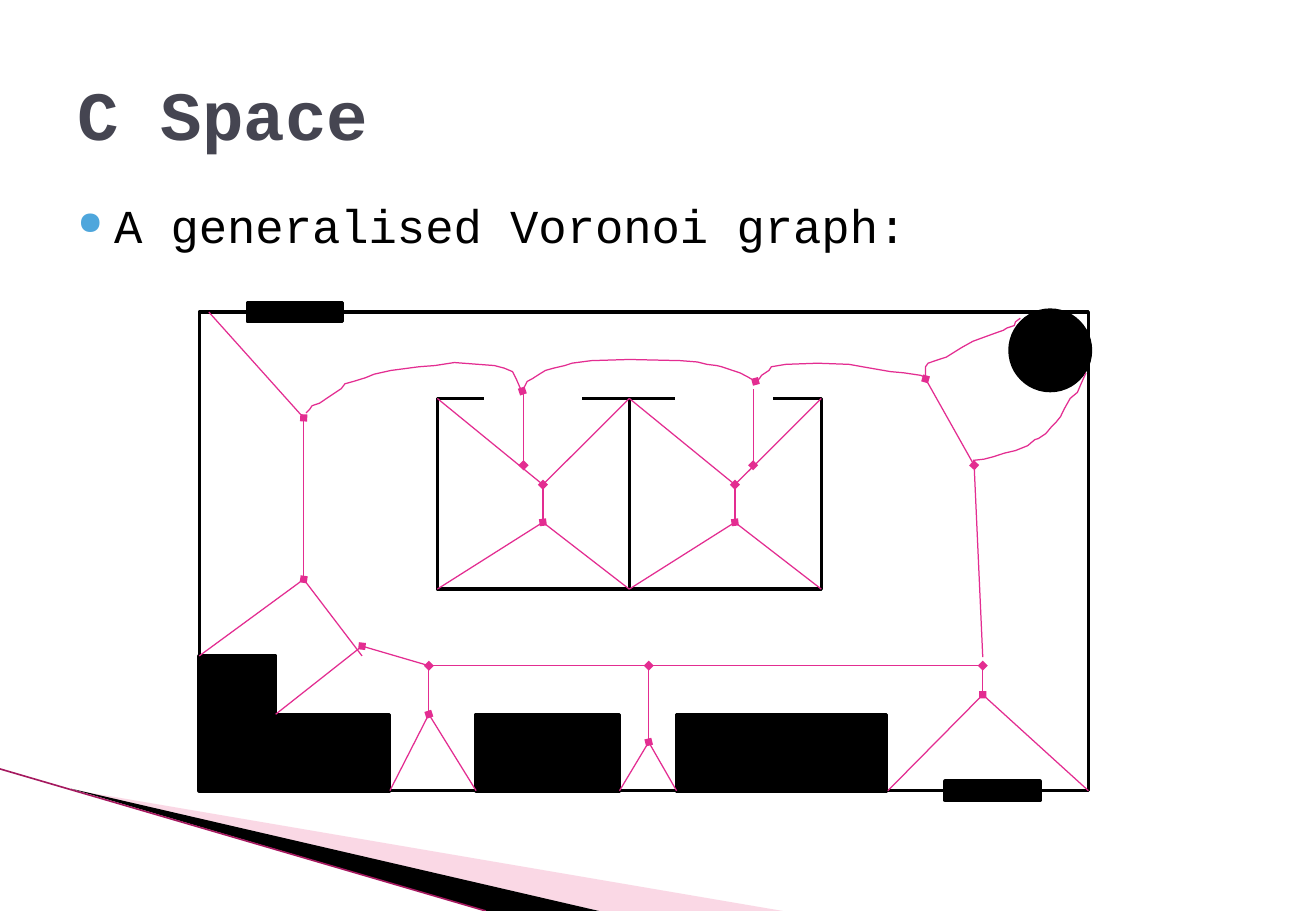
from typing import NamedTuple, Optional

from lxml.etree import SubElement
from pptx import Presentation
from pptx.dml.color import RGBColor
from pptx.enum.shapes import MSO_CONNECTOR, MSO_SHAPE
from pptx.enum.text import MSO_ANCHOR
from pptx.oxml.ns import qn
from pptx.slide import Slide
from pptx.text.text import _Paragraph as Paragraph
from pptx.util import Pt

BLACK = RGBColor(0x00, 0x00, 0x00)
WHITE = RGBColor(0xFF, 0xFF, 0xFF)
MAGENTA = RGBColor(0xE3, 0x2D, 0x91)
DARK_MAGENTA = RGBColor(0xA5, 0x19, 0x5F)
PALE_PINK = RGBColor(0xF3, 0x9E, 0xC0)
SLATE = RGBColor(0x45, 0x45, 0x51)
BULLET_BLUE = "4EA6DC"

Point = tuple[float, float]


class Block(NamedTuple):
    left: float
    top: float
    width: float
    height: float
    fill: Optional[RGBColor] = BLACK
    line: RGBColor = BLACK
    line_width: float = 2
    kind: MSO_SHAPE = MSO_SHAPE.RECTANGLE


class Edge(NamedTuple):
    start: Point
    end: Point
    marked: bool = False


class Curve(NamedTuple):
    points: list[Point]
    marked: bool = False


ROOM_TOP, ROOM_WIDTH, ROOM_HEIGHT = 236.2, 113.8, 113
ROOM_LEFTS = [259.2, 259.2 + ROOM_WIDTH]
FLOOR = 468.7

BLOCKS = [
    Block(118.1, 185, 527, 283.7, fill=None),
    Block(146.9, 179.3, 56.2, 11.5),
    Block(118.1, 388.8, 45.4, 79.2),
    Block(118.1, 423.4, 113, 45.4),
    Block(282.2, 423.4, 85, 45.4),
    Block(401, 423.4, 124.6, 45.4),
    Block(560.2, 463, 56.2, 11.5),
    Block(599.8, 185, 45.4, 45.4, line_width=4.33, kind=MSO_SHAPE.OVAL),
    *[Block(left, ROOM_TOP, ROOM_WIDTH, ROOM_HEIGHT, fill=None) for left in ROOM_LEFTS],
    *[Block(left, 230.4, 56.2, 11.5, WHITE, WHITE) for left in (288, 401)],
]

NORTH_WEST, WEST = (180, 247.7), (180, 343.4)
SOUTH_WEST = (214.6, 383)
AISLE_LEFT, AISLE_MIDDLE, AISLE_RIGHT = (254.2, 394.6), (384.5, 394.6), (582.5, 394.6)
GAP_LEFT, GAP_MIDDLE, GAP_RIGHT = (254.2, 423.4), (384.5, 439.9), (582.5, 411.8)
NORTH_EAST, EAST = (548.6, 224.6), (577.4, 275.8)

EDGES = [
    Edge(NORTH_WEST, (123.8, 185), True),
    Edge(WEST, (118.1, 388.8), True),
    Edge(SOUTH_WEST, (163.4, 423.4), True),
    Edge(GAP_LEFT, (231.1, FLOOR), True),
    Edge(AISLE_LEFT, GAP_LEFT, True),
    Edge(GAP_MIDDLE, (367.2, FLOOR), True),
    Edge(AISLE_MIDDLE, GAP_MIDDLE, True),
    Edge(GAP_RIGHT, (526.3, FLOOR), True),
    Edge(AISLE_RIGHT, GAP_RIGHT, True),
    Edge(EAST, (582.5, 389.5), True),
    Edge(NORTH_EAST, EAST, True),
    Edge((310.3, 275.8), (310.3, 230.4), True),
    Edge((446.4, 275.8), (446.4, 230.4), True),
    Edge(NORTH_WEST, WEST),
    Edge((214.6, 388.8), WEST),
    Edge(SOUTH_WEST, AISLE_LEFT),
    Edge(GAP_LEFT, (282.2, FLOOR)),
    Edge(AISLE_LEFT, AISLE_MIDDLE),
    Edge(AISLE_MIDDLE, AISLE_RIGHT),
    Edge(GAP_MIDDLE, (401, FLOOR)),
    Edge(GAP_RIGHT, (645.1, FLOOR)),
]

CURVES = [
    Curve([(181.4, 244.8), (183.6, 242.6), (185, 240.5), (189.4, 239), (195.8, 234.7),
           (202.3, 230.4), (204.5, 227.5), (209.5, 226.1), (216.7, 223.9), (221.8, 221.8),
           (231.8, 219.6), (248.4, 217.4), (257.8, 216.7), (269.3, 214.9), (293, 216.7),
           (298.8, 218.2), (303.8, 220.3), (306, 224.6), (308.2, 229.7), (309.6, 232.6)]),
    Curve([(550.1, 224.6), (545.8, 222.5), (535.7, 221), (527.8, 220.3), (519.8, 218.9),
           (511.2, 217.4), (503.3, 216), (484.6, 215.3), (465.8, 216), (457.2, 217.4),
           (455.8, 219.6), (451.4, 222.5), (450, 224.6), (447.8, 226.1)]),
    Curve([(309.6, 231.8), (312.5, 226.1), (315.4, 224.6), (319.7, 221.8), (323.3, 219.6),
           (328.3, 218.2), (334.8, 216.7), (339.1, 215.3), (350.6, 213.8), (373, 213.1),
           (403.2, 213.8), (413.3, 214.6), (419, 216), (424.8, 216.7), (427.7, 217.4),
           (434.2, 219.6), (438.5, 221), (442.8, 223.2), (447.8, 226.1)], marked=True),
    Curve([(548.6, 223.2), (548.6, 217.4), (550.1, 215.3), (554.4, 213.8), (558.7, 212.4),
           (560.9, 211.7), (570.2, 205.9), (576.7, 202.3), (584.6, 199.4), (590.4, 197.3),
           (594.7, 195.8), (596.9, 194.4), (601.2, 193), (601.9, 190.8), (604.8, 188.6)]),
    Curve([(576.7, 272.9), (583.2, 272.2), (589, 270.7), (595.4, 268.6), (601.9, 267.1),
           (609.1, 264.2), (613.4, 260.6), (615.6, 259.9), (619.9, 257), (623.5, 252.7),
           (625.7, 250.6), (628.6, 247), (630.7, 242.6), (634.3, 236.2), (638.6, 232.6),
           (640.8, 227.5), (643.7, 221)]),
]


def room_edges(left: float) -> list[Edge]:
    """Edges from a room's two inner nodes to its four corners."""
    right, bottom = left + ROOM_WIDTH, ROOM_TOP + ROOM_HEIGHT
    upper, lower = (left + 62.6, 287.3), (left + 62.6, 309.6)
    return [Edge(upper, lower, True), Edge(lower, (right, bottom), True),
            Edge(lower, (left, bottom)), Edge(upper, (left, ROOM_TOP)),
            Edge(upper, (right, ROOM_TOP))]


def add_block(page: Slide, block: Block) -> None:
    shape = page.shapes.add_shape(block.kind, Pt(block.left), Pt(block.top),
                                  Pt(block.width), Pt(block.height))
    shape.shadow.inherit = False
    if block.fill is None:
        shape.fill.background()
    else:
        shape.fill.solid()
        shape.fill.fore_color.rgb = block.fill
    shape.line.color.rgb = block.line
    shape.line.width = Pt(block.line_width)


def add_outline(page: Slide, points: list[Point], close: bool):
    corners = [(Pt(x), Pt(y)) for x, y in points]
    builder = page.shapes.build_freeform(*corners[0])
    builder.add_line_segments(corners[1:], close=close)
    shape = builder.convert_to_shape()
    shape.shadow.inherit = False
    return shape


def add_wedge(page: Slide, points: list[Point], color: RGBColor, opacity: int = 100) -> None:
    wedge = add_outline(page, points, close=True)
    wedge.fill.solid()
    wedge.fill.fore_color.rgb = color
    wedge.line.fill.background()
    if opacity < 100:
        tint = wedge.element.spPr.find(f".//{qn('a:srgbClr')}")
        SubElement(tint, qn("a:alpha"), val=str(opacity * 1000))


def add_curve(page: Slide, curve: Curve) -> None:
    shape = add_outline(page, curve.points, close=False)
    shape.fill.background()
    shape.line.color.rgb = MAGENTA
    shape.line.width = Pt(0.75)
    if curve.marked:
        for end in ("a:headEnd", "a:tailEnd"):
            SubElement(shape.get_or_add_ln(), qn(end), type="diamond")


def add_edge(page: Slide, edge: Edge, color: RGBColor = MAGENTA, width: float = 0.75) -> None:
    start, end = ([Pt(value) for value in point] for point in (edge.start, edge.end))
    connector = page.shapes.add_connector(MSO_CONNECTOR.STRAIGHT, *start, *end)
    connector.line.color.rgb = color
    connector.line.width = Pt(width)
    if edge.marked:
        SubElement(connector.get_or_add_ln(), qn("a:headEnd"), type="diamond")
    SubElement(connector.element.spPr, qn("a:effectLst"))


def add_text(page: Slide, text: str, *, top: float, height: float, size: float,
             color: RGBColor, bold: bool = False,
             anchor: MSO_ANCHOR = MSO_ANCHOR.TOP) -> Paragraph:
    box = page.shapes.add_textbox(Pt(38.9), Pt(top), Pt(702), Pt(height))
    box.text_frame.word_wrap = True
    box.text_frame.vertical_anchor = anchor
    para = box.text_frame.paragraphs[0]
    span = para.add_run()
    span.text = text
    span.font.name = "Courier New"
    span.font.size = Pt(size)
    span.font.bold = bold
    span.font.color.rgb = color
    return para


def add_bullet(para: Paragraph) -> None:
    para.line_spacing = 0.9
    para.space_before = Pt(4)
    props = para._p.get_or_add_pPr()
    props.set("marL", str(Pt(21.6)))
    props.set("indent", str(Pt(-21.6)))
    SubElement(SubElement(props, qn("a:buClr")), qn("a:srgbClr"), val=BULLET_BLUE)
    SubElement(props, qn("a:buSzPct"), val="68000")
    SubElement(props, qn("a:buChar"), char="●")


def main() -> None:
    deck = Presentation()
    deck.slide_width, deck.slide_height = Pt(780), Pt(540)
    page = deck.slides.add_slide(deck.slide_layouts[6])

    add_wedge(page, [(42, 468), (464, 540), (355, 540)], PALE_PINK, opacity=40)
    add_wedge(page, [(42, 467.5), (355, 540), (288, 540)], BLACK)
    add_edge(page, Edge((0, 455.8), (288, 540)), DARK_MAGENTA, 0.95)

    add_bullet(add_text(page, "A generalised Voronoi graph:", top=116.6, height=356.4,
                        size=28, color=BLACK))
    add_text(page, "C Space", top=21.6, height=90, size=41, color=SLATE, bold=True,
             anchor=MSO_ANCHOR.MIDDLE)

    for block in BLOCKS:
        add_block(page, block)
    for edge in EDGES + [edge for left in ROOM_LEFTS for edge in room_edges(left)]:
        add_edge(page, edge)
    for curve in CURVES:
        add_curve(page, curve)
    deck.save("out.pptx")


if __name__ == "__main__":
    main()
